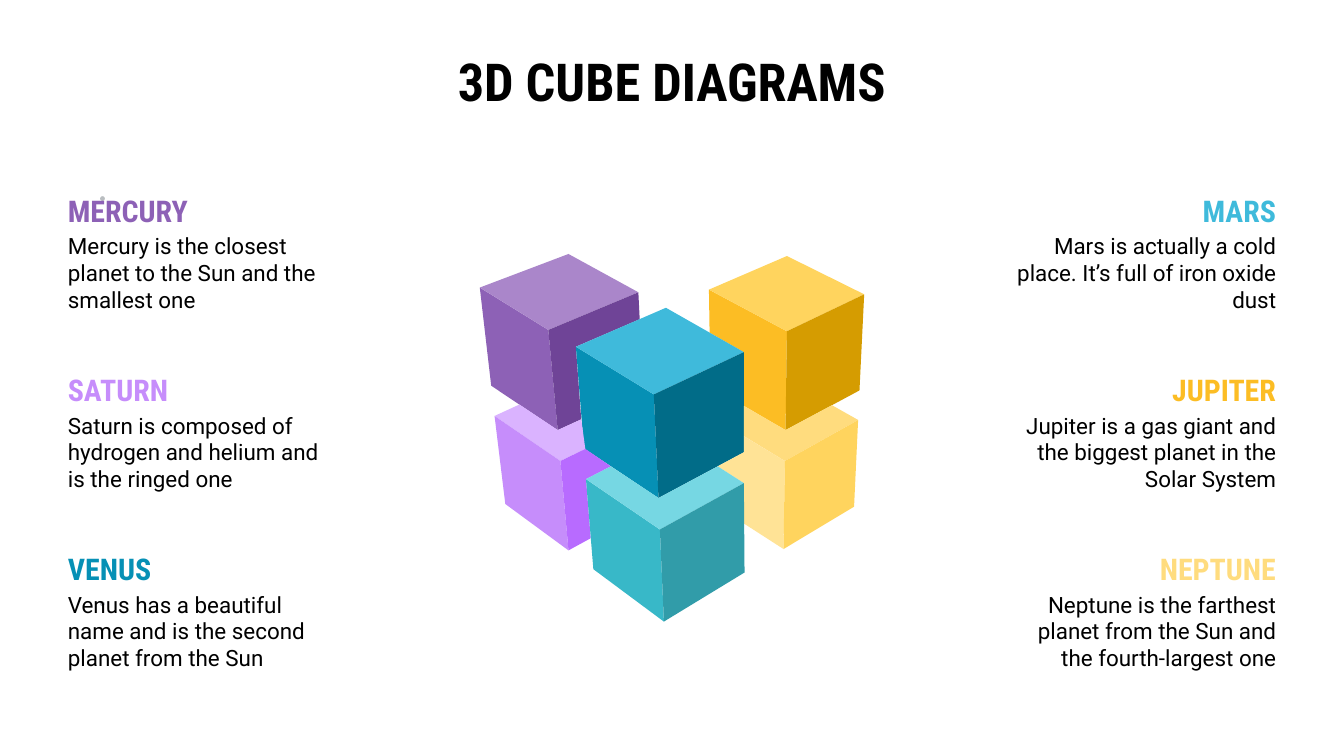
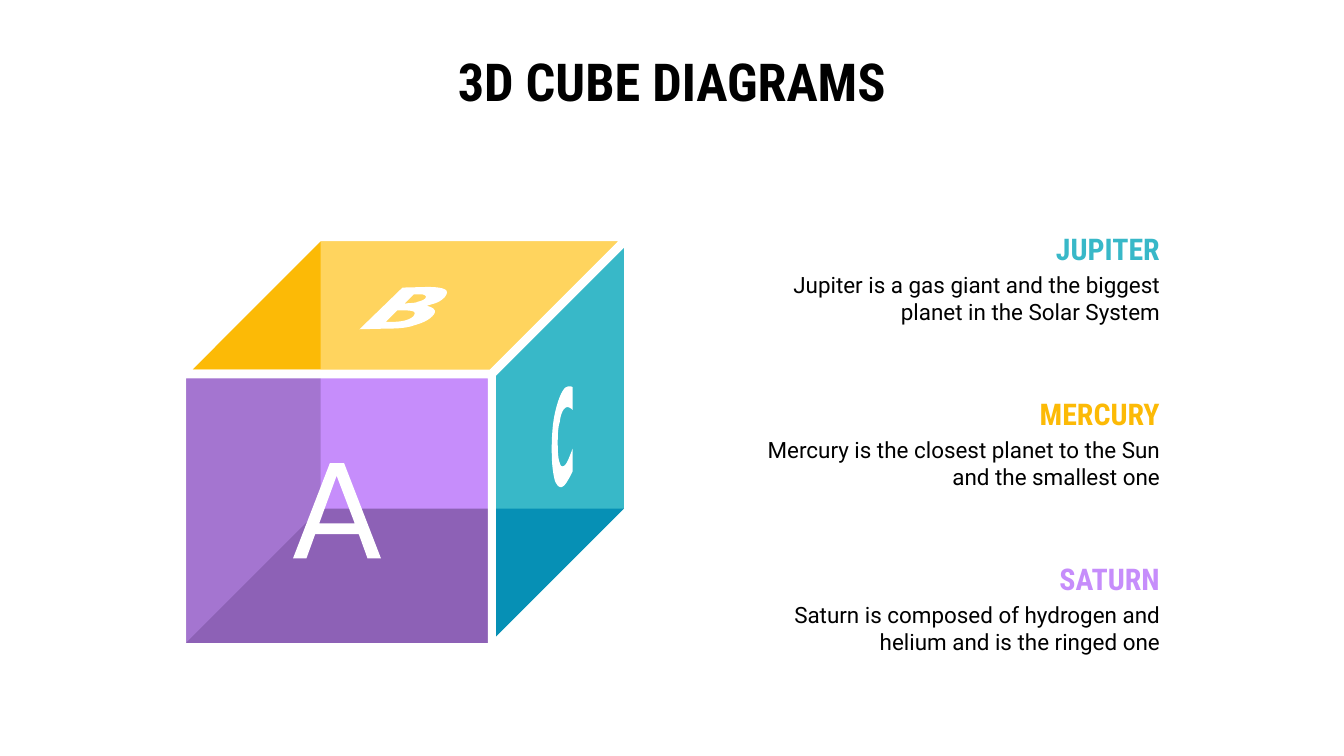
from lxml import etree
from pptx import Presentation
from pptx import util as u
from pptx.dml.color import RGBColor
from pptx.enum import shapes, text
from pptx.oxml import ns

WIDTH, HEIGHT = 20, 11.25
BLACK = RGBColor(0x00, 0x00, 0x00)
WHITE = RGBColor(0xFF, 0xFF, 0xFF)
GREY = RGBColor(0xB9, 0xBD, 0xC0)
PURPLE = RGBColor(0x8D, 0x61, 0xB6)
PURPLE_LIGHT = RGBColor(0xAA, 0x86, 0xCA)
PURPLE_DARK = RGBColor(0x6F, 0x44, 0x97)
LILAC = RGBColor(0xC6, 0x8D, 0xFB)
LILAC_LIGHT = RGBColor(0xDA, 0xB3, 0xFF)
LILAC_DARK = RGBColor(0xB8, 0x6B, 0xFF)
BLUE = RGBColor(0x06, 0x90, 0xB5)
BLUE_LIGHT = RGBColor(0x3F, 0xBA, 0xDB)
BLUE_DARK = RGBColor(0x01, 0x6C, 0x88)
TEAL = RGBColor(0x38, 0xB8, 0xC8)
TEAL_LIGHT = RGBColor(0x76, 0xD7, 0xE3)
TEAL_DARK = RGBColor(0x31, 0x9C, 0xA9)
AMBER = RGBColor(0xFC, 0xBD, 0x24)
AMBER_DARK = RGBColor(0xD5, 0x9C, 0x01)
GOLD = RGBColor(0xFC, 0xBA, 0x06)
YELLOW = RGBColor(0xFF, 0xD4, 0x5E)
CREAM = RGBColor(0xFF, 0xDC, 0x7E)
CREAM_LIGHT = RGBColor(0xFF, 0xE3, 0x96)

TITLE = "3D CUBE DIAGRAMS"
MERCURY = "Mercury is the closest planet to the Sun and the smallest one"
SATURN = "Saturn is composed of hydrogen and helium and is the ringed one"
JUPITER = "Jupiter is a gas giant and the biggest planet in the Solar System"

LEFT_PLANETS = [
    ("MERCURY", PURPLE, MERCURY),
    ("SATURN", LILAC, SATURN),
    ("VENUS", BLUE, "Venus has a beautiful name and is the second planet from the Sun"),
]
RIGHT_PLANETS = [
    ("MARS", BLUE_LIGHT, "Mars is actually a cold place. It’s full of iron oxide dust"),
    ("JUPITER", AMBER, JUPITER),
    ("NEPTUNE", CREAM, "Neptune is the farthest planet from the Sun and the fourth-largest one"),
]
CUBE_PLANETS = [
    ("JUPITER", TEAL, JUPITER),
    ("MERCURY", GOLD, MERCURY),
    ("SATURN", LILAC, SATURN),
]

TITLE_STYLE = dict(name="Roboto Condensed", size=u.Pt(56), bold=True)
HEADING_STYLE = dict(name="Roboto Condensed", size=u.Pt(32), bold=True)
BODY_STYLE = dict(name="Roboto", size=u.Pt(24))
HEADING_SPACING = dict(line_spacing=1.15, space_after=u.Pt(32))
LEFT, CENTER, RIGHT = text.PP_ALIGN.LEFT, text.PP_ALIGN.CENTER, text.PP_ALIGN.RIGHT

STACKED_CUBES = {
    "purple": [
        (PURPLE, [(7.14, 4.28), (8.16, 4.91), (8.3, 6.4), (7.31, 5.74)]),
        (PURPLE_LIGHT, [(7.14, 4.28), (8.46, 3.78), (9.5, 4.35), (8.16, 4.91)]),
        (PURPLE_DARK, [(8.16, 4.91), (9.5, 4.35), (9.52, 4.75), (8.57, 5.16),
                       (8.65, 6.24), (8.3, 6.4)]),
    ],
    "amber": [
        (AMBER, [(10.55, 4.31), (11.71, 4.93), (11.69, 6.4), (11.07, 6.04),
                 (11.07, 5.24), (10.56, 4.95)]),
        (YELLOW, [(10.55, 4.31), (11.71, 3.81), (12.86, 4.38), (11.71, 4.93)]),
        (AMBER_DARK, [(11.71, 4.93), (12.86, 4.38), (12.79, 5.81), (11.69, 6.4)]),
    ],
    "blue": [
        (BLUE, [(8.57, 5.16), (9.73, 5.87), (9.8, 7.41), (8.69, 6.67)]),
        (BLUE_LIGHT, [(8.57, 5.16), (9.91, 4.58), (11.07, 5.24), (9.73, 5.87)]),
        (BLUE_DARK, [(9.73, 5.87), (11.07, 5.24), (11.07, 6.73), (9.8, 7.41)]),
    ],
    "lilac": [
        (LILAC_LIGHT, [(7.36, 6.19), (7.73, 6.02), (8.3, 6.4), (8.65, 6.24),
                       (8.71, 6.68), (8.34, 6.86)]),
        (LILAC, [(7.36, 6.19), (8.34, 6.86), (8.46, 8.19), (7.52, 7.5)]),
        (LILAC_DARK, [(8.34, 6.86), (8.71, 6.68), (9.09, 6.94), (8.72, 7.13),
                      (8.79, 8.01), (8.46, 8.19)]),
    ],
    "cream": [
        (CREAM, [(11.07, 6.04), (11.69, 6.4), (12.38, 6.03), (12.77, 6.25),
                 (11.68, 6.86), (11.07, 6.49)]),
        (CREAM_LIGHT, [(10.68, 6.94), (11.07, 6.73), (11.07, 6.49), (11.68, 6.86),
                       (11.66, 8.17), (11.07, 7.79), (11.07, 7.19)]),
        (YELLOW, [(11.68, 6.86), (12.77, 6.25), (12.71, 7.54), (11.66, 8.17)]),
    ],
    "teal": [
        (TEAL, [(8.72, 7.13), (9.82, 7.88), (9.88, 9.25), (8.83, 8.47)]),
        (TEAL_LIGHT, [(8.72, 7.13), (9.09, 6.94), (9.8, 7.41), (10.68, 6.94),
                      (11.07, 7.19), (9.82, 7.88)]),
        (TEAL_DARK, [(9.82, 7.88), (11.07, 7.19), (11.08, 8.52), (9.88, 9.25)]),
    ],
}
DOT_LEFT, DOT_TOPS, DOT_SIZE = 1.49, (2.92, 8.95), 0.07

FRONT = [(2.77, 5.63), (2.77, 9.57), (7.26, 9.57), (7.26, 5.63)]
TOP = [(4.77, 3.59), (2.86, 5.5), (7.29, 5.5), (9.2, 3.59)]
SIDE = [(9.29, 3.68), (7.38, 5.59), (7.38, 9.48), (9.29, 7.57)]
OUTLINE = [(4.72, 3.47), (2.65, 5.54), (2.65, 9.69), (7.35, 9.69), (9.42, 7.63), (9.42, 3.47)]
BACK_CORNER = (4.77, 7.57)

LETTER_A = [
    [(5.01, 7.08), (5.28, 7.79), (4.75, 7.79)],
    [(4.91, 6.89), (4.36, 8.31), (4.56, 8.31), (4.69, 7.95), (5.34, 7.95), (5.47, 8.31),
     (5.67, 8.31), (5.12, 6.89)],
]
LETTER_B = [
    [(6.23, 4.38), (6.27, 4.38, 6.31, 4.38, 6.33, 4.4), (6.34, 4.41, 6.34, 4.42, 6.33, 4.44),
     (6.31, 4.46, 6.27, 4.48, 6.22, 4.49), (6.18, 4.51, 6.13, 4.51, 6.09, 4.51),
     (6.02, 4.52), (6.16, 4.38)],
    [(6.04, 4.62), (6.1, 4.62, 6.14, 4.63, 6.16, 4.64), (6.18, 4.66, 6.17, 4.68, 6.15, 4.71),
     (6.09, 4.76, 5.99, 4.79, 5.84, 4.79), (5.74, 4.79), (5.91, 4.62)],
    [(6.37, 4.27), (5.99, 4.28), (5.35, 4.9), (5.78, 4.89),
     (5.93, 4.89, 6.06, 4.88, 6.17, 4.84), (6.28, 4.81, 6.37, 4.77, 6.43, 4.71),
     (6.46, 4.68, 6.48, 4.65, 6.47, 4.62), (6.46, 4.59, 6.42, 4.57, 6.35, 4.55),
     (6.41, 4.53, 6.47, 4.52, 6.51, 4.5), (6.55, 4.48, 6.58, 4.46, 6.61, 4.43),
     (6.65, 4.39, 6.66, 4.35, 6.64, 4.32), (6.61, 4.29, 6.52, 4.27, 6.37, 4.27)],
]
LETTER_C = [
    [(8.47, 5.75), (8.45, 5.75, 8.42, 5.76, 8.4, 5.78), (8.35, 5.84, 8.3, 5.96, 8.26, 6.14),
     (8.22, 6.31, 8.21, 6.51, 8.21, 6.71), (8.21, 6.91, 8.23, 7.06, 8.26, 7.16),
     (8.29, 7.22, 8.31, 7.25, 8.35, 7.25), (8.36, 7.25, 8.38, 7.24, 8.4, 7.22),
     (8.43, 7.19, 8.47, 7.12, 8.52, 7.02), (8.52, 6.68),
     (8.47, 6.81, 8.44, 6.89, 8.41, 6.92), (8.4, 6.93, 8.38, 6.94, 8.37, 6.94),
     (8.35, 6.94, 8.34, 6.92, 8.33, 6.89), (8.31, 6.84, 8.3, 6.75, 8.3, 6.62),
     (8.3, 6.49, 8.3, 6.37, 8.33, 6.28), (8.34, 6.18, 8.37, 6.11, 8.4, 6.08),
     (8.42, 6.06, 8.43, 6.06, 8.45, 6.06), (8.47, 6.06, 8.49, 6.07, 8.52, 6.1),
     (8.52, 5.76), (8.5, 5.75, 8.49, 5.75, 8.47, 5.75)],
]
UNITS_PER_INCH = 1000
CURVE_STEPS = 6


def paint(shape, color):
    shape.fill.solid()
    shape.fill.fore_color.rgb = color
    shape.line.fill.background()
    shape.shadow.inherit = False


def flatten(contour):
    points = [contour[0]]
    for step in contour[1:]:
        if len(step) == 2:
            points.append(step)
            continue
        x0, y0 = points[-1]
        x1, y1, x2, y2, x3, y3 = step
        for i in range(1, CURVE_STEPS + 1):
            t = i / CURVE_STEPS
            s = 1 - t
            a, b, c, d = s ** 3, 3 * s * s * t, 3 * s * t * t, t ** 3
            points.append((a * x0 + b * x1 + c * x2 + d * x3,
                           a * y0 + b * y1 + c * y2 + d * y3))
    return [(x * UNITS_PER_INCH, y * UNITS_PER_INCH) for x, y in points]


def add_outline(slide, color, *contours):
    first, *rest = [flatten(contour) for contour in contours]
    builder = slide.shapes.build_freeform(*first[0], scale=u.Inches(1) / UNITS_PER_INCH)
    builder.add_line_segments(first[1:], close=True)
    for points in rest:
        builder.move_to(*points[0])
        builder.add_line_segments(points[1:], close=True)
    shape = builder.convert_to_shape()
    paint(shape, color)
    return shape


def write(box, words, color, align, style, spacing=None):
    frame = box.text_frame
    settings = dict(word_wrap=True, auto_size=text.MSO_AUTO_SIZE.NONE,
                    vertical_anchor=text.MSO_ANCHOR.TOP)
    for side in ("left", "top", "right", "bottom"):
        settings["margin_" + side] = u.Inches(0.2)
    for key, value in settings.items():
        setattr(frame, key, value)
    frame.text = words
    paragraph = frame.paragraphs[0]
    for key, value in dict(spacing or {}, alignment=align).items():
        setattr(paragraph, key, value)
    font = paragraph.runs[0].font
    for key, value in style.items():
        setattr(font, key, value)
    font.color.rgb = color


def add_planets(slide, planets, edge, top, pitch, heading_width, body_width, align):
    for row, (name, color, fact) in enumerate(planets):
        y = top + row * pitch
        for words, tint, dy, width, height, style, spacing in (
            (fact, BLACK, 0.68, body_width, 1.25, BODY_STYLE, None),
            (name, color, 0, heading_width, 0.84, HEADING_STYLE, HEADING_SPACING),
        ):
            x = edge - width if align == RIGHT else edge
            box = slide.shapes.add_textbox(*map(u.Inches, (x, y + dy, width, height)))
            write(box, words, tint, align, style, spacing)


def add_titled_slide(deck):
    slide = deck.slides.add_slide(deck.slide_layouts[5])
    title = slide.shapes.title
    title.left, title.top, title.width, title.height = map(
        u.Inches, (WIDTH * 0.05, 0.53, WIDTH * 0.9, 1.25))
    write(title, TITLE, BLACK, CENTER, TITLE_STYLE)
    return slide


def build_stacked_cubes(deck):
    slide = add_titled_slide(deck)
    for faces in STACKED_CUBES.values():
        for color, face in faces:
            add_outline(slide, color, face)
    for top in DOT_TOPS:
        dot = slide.shapes.add_shape(
            shapes.MSO_SHAPE.OVAL, *map(u.Inches, (DOT_LEFT, top, DOT_SIZE, DOT_SIZE)))
        paint(dot, GREY)
    margin = 0.81
    add_planets(slide, LEFT_PLANETS, margin, 2.58, 2.665, 2.86, 4.21, LEFT)
    add_planets(slide, RIGHT_PLANETS, WIDTH - margin, 2.58, 2.665, 2.86, 4.35, RIGHT)


def build_glass_cube(deck):
    slide = add_titled_slide(deck)
    back_x, back_y = BACK_CORNER
    add_planets(slide, CUBE_PLANETS, 17.46, 3.16, 2.455, 6.25, 6.25, RIGHT)
    for color, face in (
        (LILAC, FRONT),
        (GOLD, TOP),
        (TEAL, SIDE),
        (YELLOW, [TOP[0], (back_x, TOP[1][1]), TOP[2], TOP[3]]),
        (BLUE, [(SIDE[1][0], back_y), SIDE[2], SIDE[3]]),
        (PURPLE, [BACK_CORNER, FRONT[1], FRONT[2], (FRONT[2][0], back_y)]),
    ):
        add_outline(slide, color, face)
    add_outline(slide, WHITE, TOP, SIDE, FRONT, OUTLINE)
    add_outline(slide, WHITE, *LETTER_B)
    add_outline(slide, WHITE, *LETTER_C)
    shade = add_outline(slide, BLACK, [BACK_CORNER, (back_x, FRONT[0][1]), *FRONT[:2]])
    tint = shade.fill._xPr.find(".//" + ns.qn("a:srgbClr"))
    etree.SubElement(tint, ns.qn("a:alpha"), val="17000")
    add_outline(slide, WHITE, *LETTER_A)


def main():
    deck = Presentation()
    deck.slide_width, deck.slide_height = u.Inches(WIDTH), u.Inches(HEIGHT)
    build_stacked_cubes(deck)
    build_glass_cube(deck)
    deck.save("out.pptx")


if __name__ == "__main__":
    main()
